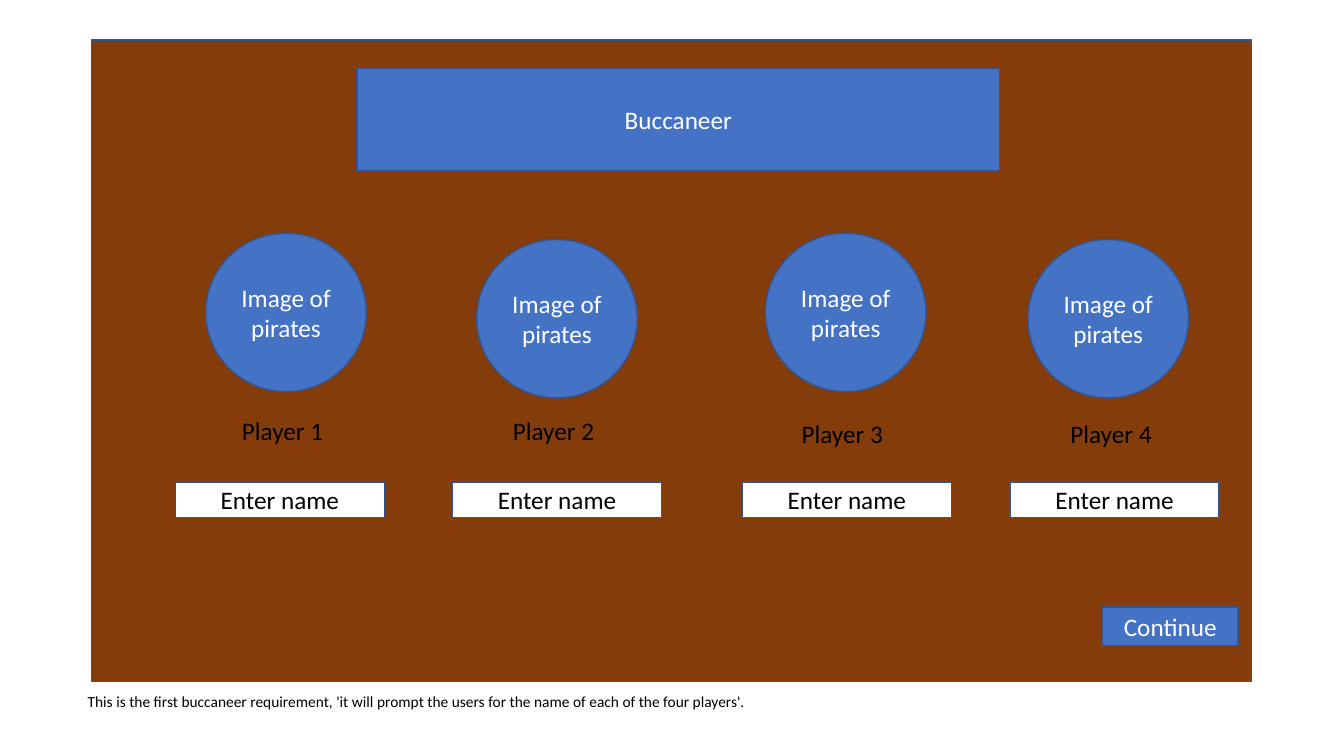
from dataclasses import dataclass

from pptx import Presentation
from pptx.dml.color import RGBColor
from pptx.enum.shapes import MSO_SHAPE
from pptx.enum.text import MSO_ANCHOR, MSO_AUTO_SIZE, PP_ALIGN
from pptx.util import Pt

RECTANGLE, OVAL = MSO_SHAPE.RECTANGLE, MSO_SHAPE.OVAL
CENTER, LEFT = PP_ALIGN.CENTER, PP_ALIGN.LEFT
MIDDLE, TOP = MSO_ANCHOR.MIDDLE, MSO_ANCHOR.TOP
GROW = MSO_AUTO_SIZE.SHAPE_TO_FIT_TEXT

EMU_PER_PX = 9525
SLIDE_WIDTH, SLIDE_HEIGHT = 1280, 720
BLANK_LAYOUT = 6


@dataclass(frozen=True)
class Theme:
    font: str = "Calibri"
    body_size: int = 18
    caption_size: int = 11
    board: str = "843C0B"
    accent: str = "4472C4"
    outline: str = "325491"
    light: str = "FFFFFF"
    dark: str = "000000"


class ScreenMockup:
    def __init__(self, slide, theme):
        self.slide = slide
        self.theme = theme

    def panel(self, box, fill, text="", color=None, kind=RECTANGLE):
        """Add an outlined preset shape with optional centred text."""
        shape = self.slide.shapes.add_shape(kind, *to_emu(box))
        shape.shadow.inherit = False
        shape.fill.solid()
        shape.fill.fore_color.rgb = RGBColor.from_string(fill)
        shape.line.color.rgb = RGBColor.from_string(self.theme.outline)
        shape.line.width = Pt(1)
        if text:
            frame_format = {"word_wrap": True, "vertical_anchor": MIDDLE}
            self.set_text(shape, text, color or self.theme.light,
                          self.theme.body_size, CENTER, frame_format)

    def label(self, box, text, size):
        shape = self.slide.shapes.add_textbox(*to_emu(box))
        frame_format = {"word_wrap": True, "vertical_anchor": TOP, "auto_size": GROW}
        self.set_text(shape, text, self.theme.dark, size, LEFT, frame_format)

    def set_text(self, shape, text, color, size, alignment, frame_format):
        for name, value in frame_format.items():
            setattr(shape.text_frame, name, value)
        paragraph = shape.text_frame.paragraphs[0]
        paragraph.alignment = alignment
        run = paragraph.add_run()
        run.text = text
        for name, value in {"name": self.theme.font, "size": Pt(size)}.items():
            setattr(run.font, name, value)
        run.font.color.rgb = RGBColor.from_string(color)


def to_emu(box):
    return [length * EMU_PER_PX for length in box]


# Left of name field; left and top of portrait; left and top of label
PLAYERS = [
    (167, (196, 222), (221, 391)),
    (431, (454, 228), (479, 391)),
    (707, (729, 222), (754, 394)),
    (962, (979, 228), (1010, 394)),
]
NAME_TOP = 459
NAME_SIZE = (199, 34)
PORTRAIT_SIZE = (153, 151)
LABEL_SIZE = (104, 38)


def main():
    presentation = Presentation()
    presentation.slide_width, presentation.slide_height = to_emu((SLIDE_WIDTH, SLIDE_HEIGHT))
    slide = presentation.slides.add_slide(presentation.slide_layouts[BLANK_LAYOUT])
    theme = Theme()
    screen = ScreenMockup(slide, theme)

    screen.panel((87, 38, 1105, 611), theme.board)
    screen.panel((340, 65, 612, 98), theme.accent, "Buccaneer")
    for number, (name_left, portrait, label) in enumerate(PLAYERS, start=1):
        screen.panel((name_left, NAME_TOP, *NAME_SIZE), theme.light, "Enter name", theme.dark)
        screen.panel((*portrait, *PORTRAIT_SIZE), theme.accent, "Image of pirates", kind=OVAL)
        screen.label((*label, *LABEL_SIZE), f"Player {number}", theme.body_size)
    screen.panel((1050, 578, 129, 37), theme.accent, "Continue")
    screen.label(
        (74, 654, 1118, 28),
        "This is the first buccaneer requirement, 'it will prompt the users "
        "for the name of each of the four players'.",
        theme.caption_size,
    )

    presentation.save("out.pptx")


if __name__ == "__main__":
    main()
